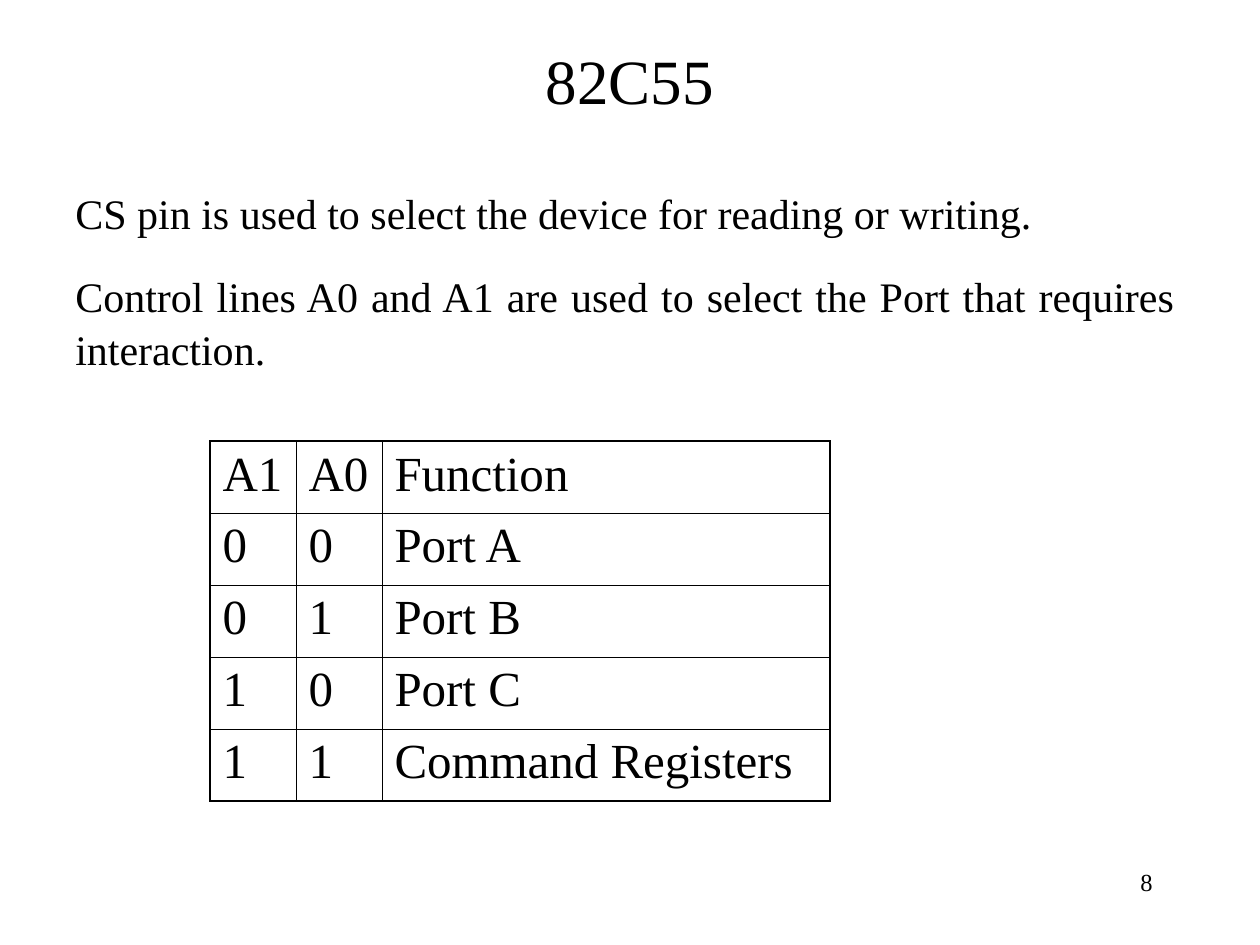
from lxml import etree
from pptx import Presentation
from pptx import util as u
from pptx.dml.color import RGBColor
from pptx.enum import text
from pptx.oxml.ns import qn

PX = 914400 / 126
FONT = "Times New Roman"
BLACK = "000000"
OUTER, INNER = 1.08, 0.45

PARAGRAPHS = [
    (179, 63, "CS pin is used to select the device for reading or writing."),
    (262, 113, "Control lines A0 and A1 are used to select the Port that "
               "requires interaction."),
]
PORT_ROWS = [
    ("A1", "A0", "Function"),
    ("0", "0", "Port A"),
    ("0", "1", "Port B"),
    ("1", "0", "Port C"),
    ("1", "1", "Command Registers"),
]
COLUMN_WIDTHS = (86, 86, 448)
ROW_HEIGHT = 72


def px(n):
    return u.Emu(round(n * PX))


def color(value):
    return RGBColor.from_string(value)


def write(tf, words, size, align=text.PP_ALIGN.LEFT):
    """Fill a text frame with one formatted paragraph and return it."""
    tf.word_wrap = True
    p = tf.paragraphs[0]
    p.text = words
    p.alignment = align
    p.font.name = FONT
    p.font.size = u.Pt(size)
    p.font.color.rgb = color(BLACK)
    return p


def add_title(s, words):
    sp = s.shapes.title
    sp.left, sp.top, sp.width, sp.height = map(px, (94, 0, 1072, 158))
    sp.text_frame.vertical_anchor = text.MSO_ANCHOR.MIDDLE
    write(sp.text_frame, words, 36, text.PP_ALIGN.CENTER)


def add_text(s, box, words, size, align):
    sp = s.shapes.add_textbox(*map(px, box))
    return write(sp.text_frame, words, size, align)


def set_borders(cell, widths):
    """Draw the left, right, top and bottom borders in the given points."""
    tc_pr = cell._tc.get_or_add_tcPr()
    for i, (side, width) in enumerate(zip("LRTB", widths)):
        ln = etree.Element(qn(f"a:ln{side}"), w=str(u.Pt(width)))
        fill = etree.SubElement(ln, qn("a:solidFill"))
        etree.SubElement(fill, qn("a:srgbClr"), val=BLACK)
        tc_pr.insert(i, ln)


def add_port_table(s, left, top):
    n_rows, n_cols = len(PORT_ROWS), len(COLUMN_WIDTHS)
    table = s.shapes.add_table(
        n_rows, n_cols, px(left), px(top),
        px(sum(COLUMN_WIDTHS)), px(ROW_HEIGHT * n_rows)).table
    table.first_row = table.horz_banding = False
    for column, width in zip(table.columns, COLUMN_WIDTHS):
        column.width = px(width)
    for r, row in enumerate(PORT_ROWS):
        table.rows[r].height = px(ROW_HEIGHT)
        for c, words in enumerate(row):
            cell = table.cell(r, c)
            cell.fill.background()
            write(cell.text_frame, words, 28)
            edges = (c == 0, c == n_cols - 1, r == 0, r == n_rows - 1)
            set_borders(cell, [OUTER if edge else INNER for edge in edges])


def main():
    prs = Presentation()
    prs.slide_width, prs.slide_height = px(1260), px(945)
    s = prs.slides.add_slide(prs.slide_layouts[5])
    add_text(s, (903, 861, 262, 63), "8", 14, text.PP_ALIGN.RIGHT)
    add_title(s, "82C55")
    for top, height, words in PARAGRAPHS:
        p = add_text(s, (63, top, 1124, height), words, 24,
                     text.PP_ALIGN.JUSTIFY)
        p.line_spacing = 1.05
    add_port_table(s, 210, 441)
    prs.save("out.pptx")


if __name__ == "__main__":
    main()
